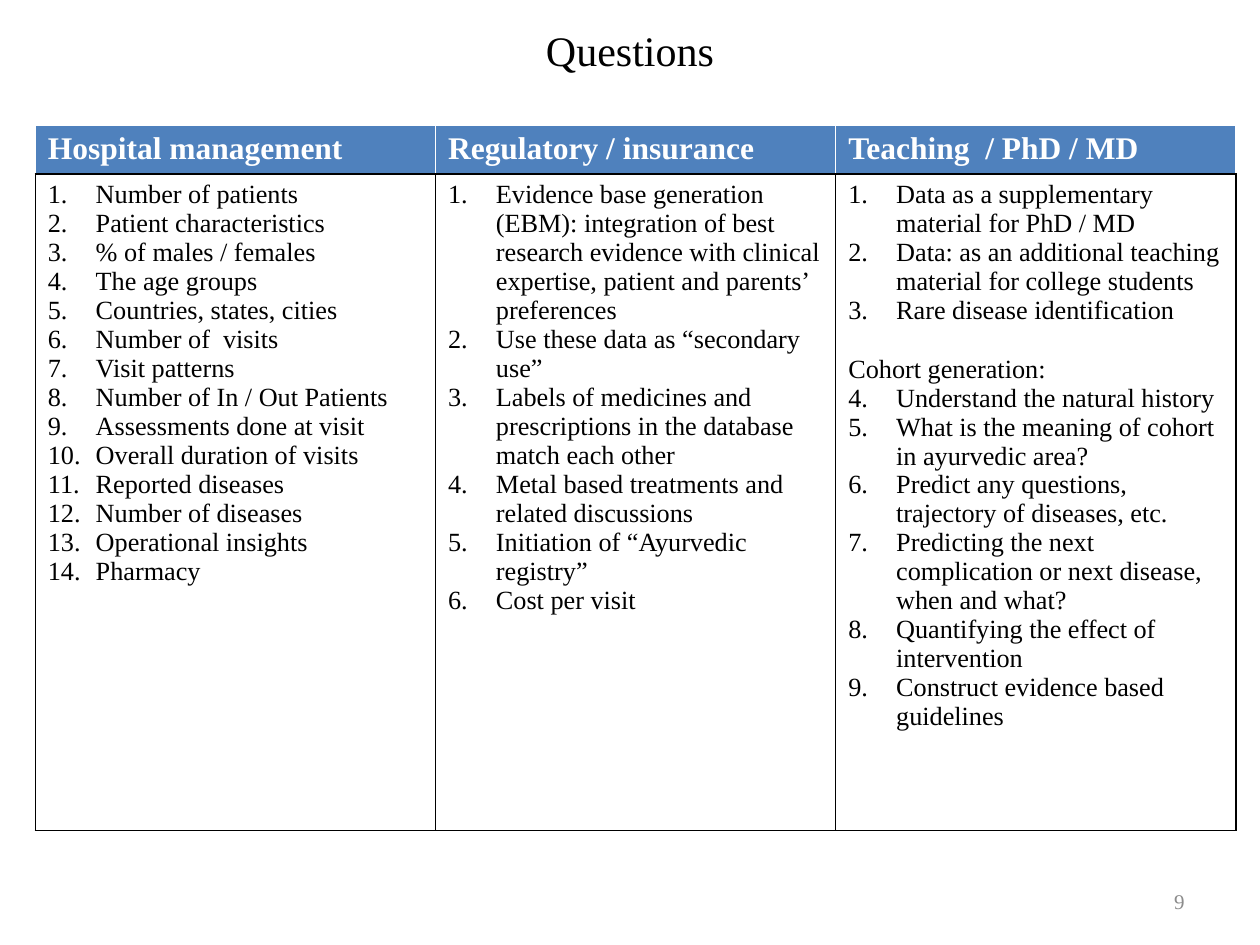
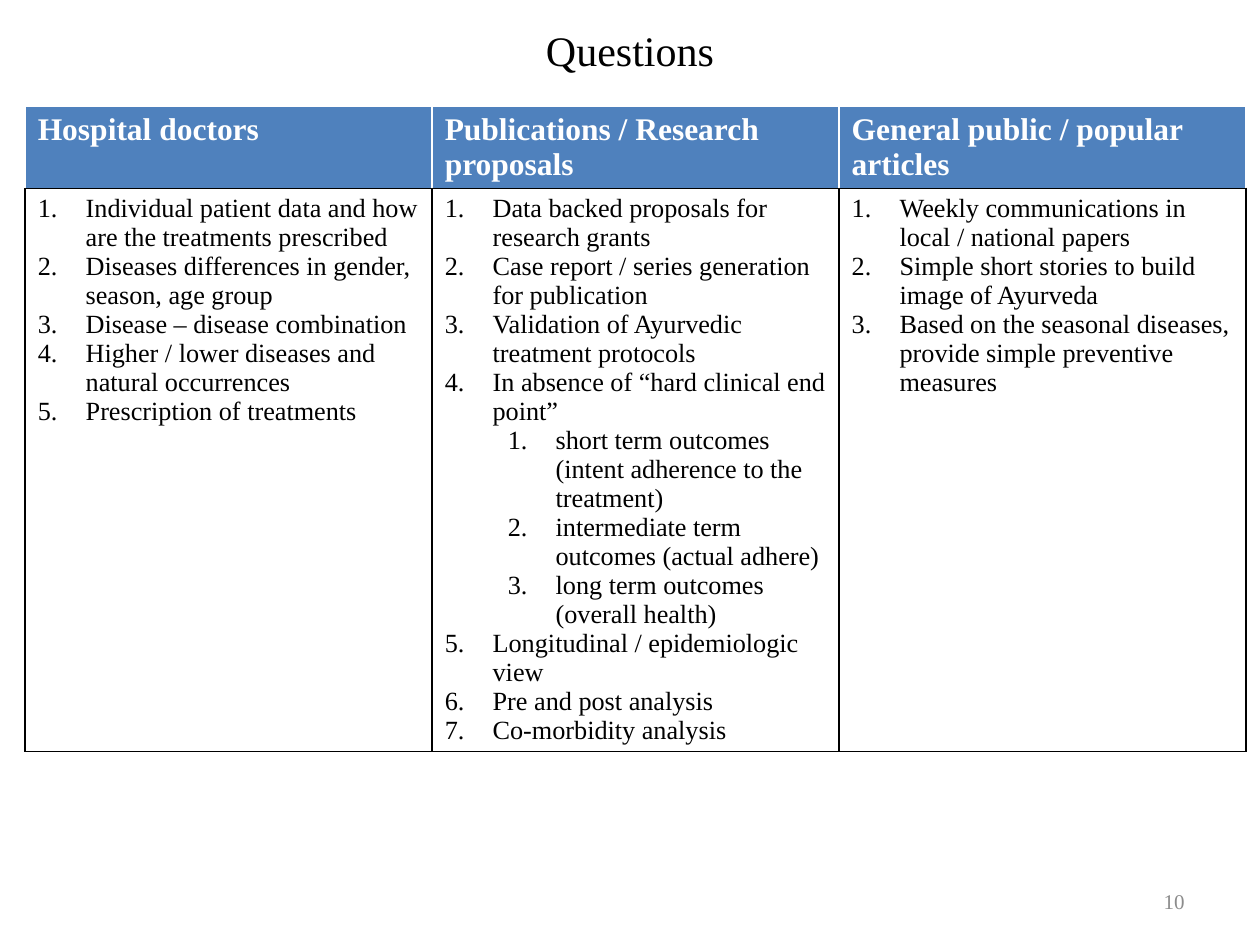
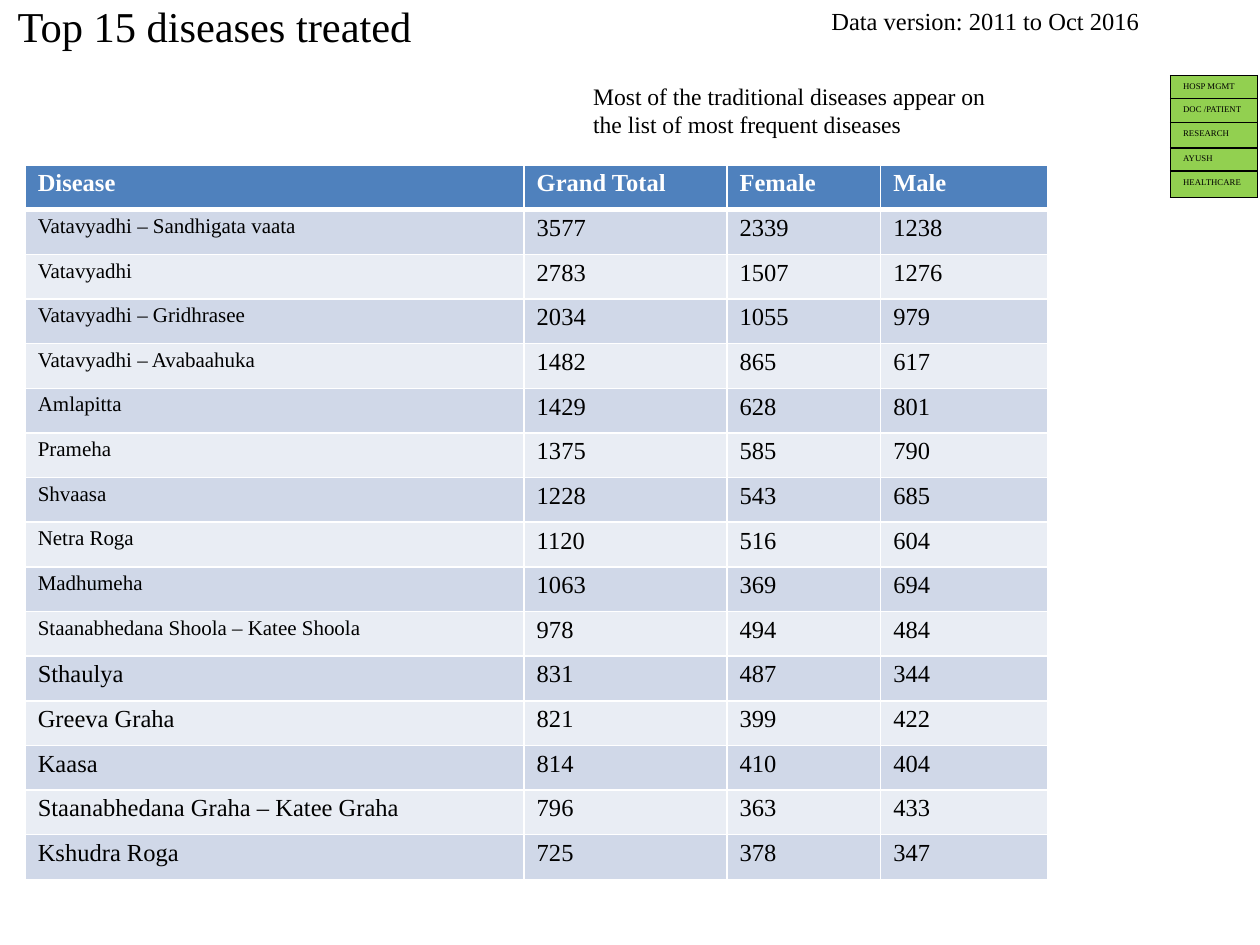
from lxml import etree
from pptx import Presentation
from pptx.dml.color import RGBColor
from pptx.enum.text import MSO_ANCHOR, MSO_AUTO_SIZE, PP_ALIGN
from pptx.oxml.ns import qn
from pptx.util import Inches, Pt

LEFT, CENTER, RIGHT = PP_ALIGN.LEFT, PP_ALIGN.CENTER, PP_ALIGN.RIGHT
MIDDLE = MSO_ANCHOR.MIDDLE
NO_FIT = MSO_AUTO_SIZE.NONE
TITLE_ONLY = 5

FONT = "Times New Roman"
BLACK, WHITE, GREY = "000000", "FFFFFF", "8C8C8C"
BLUE, GREEN = "4F81BD", "92D050"
BANDS = ("D0D8E8", "E9EDF4")
QUESTIONS_TITLE = (0.5, 0.05, 9, 0.69)

MANAGEMENT_QUESTIONS = {
    "Hospital management": [("", [
        "Number of patients",
        "Patient characteristics",
        "% of males / females",
        "The age groups",
        "Countries, states, cities",
        "Number of  visits",
        "Visit patterns",
        "Number of In / Out Patients",
        "Assessments done at visit",
        "Overall duration of visits",
        "Reported diseases",
        "Number of diseases",
        "Operational insights",
        "Pharmacy",
    ])],
    "Regulatory / insurance": [("", [
        "Evidence base generation (EBM): integration of best research evidence "
        "with clinical expertise, patient and parents’ preferences",
        "Use these data as “secondary use”",
        "Labels of medicines and prescriptions in the database match each other",
        "Metal based treatments and related discussions",
        "Initiation of “Ayurvedic registry”",
        "Cost per visit",
    ])],
    "Teaching  / PhD / MD": [
        ("", [
            "Data as a supplementary material for PhD / MD",
            "Data: as an additional teaching material for college students",
            "Rare disease identification",
        ]),
        ("Cohort generation:", [
            "Understand the natural history",
            "What is the meaning of cohort in ayurvedic area?",
            "Predict any questions, trajectory of diseases, etc.",
            "Predicting the next complication or next disease, when and what?",
            "Quantifying the effect of intervention",
            "Construct evidence based guidelines",
        ]),
    ],
}

DOCTOR_QUESTIONS = {
    "Hospital doctors": [("", [
        "Individual patient data and how are the treatments prescribed",
        "Diseases differences in gender, season, age group",
        "Disease – disease combination",
        "Higher / lower diseases and natural occurrences",
        "Prescription of treatments",
    ])],
    "Publications / Research proposals": [("", [
        "Data backed proposals for research grants",
        "Case report / series generation for publication",
        "Validation of Ayurvedic treatment protocols",
        "In absence of “hard clinical end point”",
        [
            "short term outcomes (intent adherence to the treatment)",
            "intermediate term outcomes (actual adhere)",
            "long term outcomes (overall health)",
        ],
        "Longitudinal / epidemiologic view",
        "Pre and post analysis",
        "Co-morbidity analysis",
    ])],
    "General public / popular articles": [("", [
        "Weekly communications in local / national papers",
        "Simple short stories to build image of Ayurveda",
        "Based on the seasonal diseases, provide simple preventive measures",
    ])],
}

DISEASE_HEADER = ("Disease", "Grand Total", "Female", "Male")
DISEASES = [
    ("Vatavyadhi – Sandhigata vaata", 3577, 2339, 1238),
    ("Vatavyadhi", 2783, 1507, 1276),
    ("Vatavyadhi – Gridhrasee", 2034, 1055, 979),
    ("Vatavyadhi – Avabaahuka", 1482, 865, 617),
    ("Amlapitta", 1429, 628, 801),
    ("Prameha", 1375, 585, 790),
    ("Shvaasa", 1228, 543, 685),
    ("Netra Roga", 1120, 516, 604),
    ("Madhumeha", 1063, 369, 694),
    ("Staanabhedana Shoola – Katee Shoola", 978, 494, 484),
    ("Sthaulya", 831, 487, 344),
    ("Greeva Graha", 821, 399, 422),
    ("Kaasa", 814, 410, 404),
    ("Staanabhedana Graha – Katee Graha", 796, 363, 433),
    ("Kshudra Roga", 725, 378, 347),
]
SMALL_NAME_ROWS = 10

AUDIENCES = {
    "HOSP MGMT": 0.18,
    "DOC /PATIENT": 0.19,
    "RESEARCH": 0.2,
    "AYUSH": 0.18,
    "HEALTHCARE": 0.21,
}


def color(value):
    """Turn a hex string into a colour."""
    return RGBColor.from_string(value)


def style(para, size, shade=BLACK, bold=False):
    """Set the font of a whole paragraph."""
    font = para.font
    font.name, font.size, font.bold = FONT, Pt(size), bold
    font.color.rgb = color(shade)


def add_title(page, text, place, size, align):
    """Fill and place the title placeholder."""
    title = page.shapes.title
    title.left, title.top, title.width, title.height = map(Inches, place)
    frame = title.text_frame
    frame.text = text
    frame.auto_size = NO_FIT
    frame.vertical_anchor = MIDDLE
    frame.paragraphs[0].alignment = align
    style(frame.paragraphs[0], size)


def add_text(page, text, place, size, shade=BLACK, align=LEFT):
    """Add a wrapping text box and return its frame."""
    frame = page.shapes.add_textbox(*map(Inches, place)).text_frame
    frame.word_wrap = True
    frame.text = text
    frame.paragraphs[0].alignment = align
    style(frame.paragraphs[0], size, shade)
    return frame


def add_page_number(page, number):
    """Add the grey page number at the bottom right."""
    frame = add_text(page, str(number), (7.17, 6.95, 2.33, 0.4), 12, GREY, RIGHT)
    frame.vertical_anchor = MIDDLE


def add_grid(page, place, rows, widths, heights=()):
    """Add a table with the given column widths and row heights."""
    table = page.shapes.add_table(rows, len(widths), *map(Inches, place)).table
    for column, width in zip(table.columns, widths):
        column.width = Inches(width)
    for row, height in zip(table.rows, heights):
        row.height = Inches(height)
    return table


def format_cell(cell, fill, line, bottom=None):
    """Set the borders and the fill; bottom is a colour and a width."""
    properties = cell._tc.get_or_add_tcPr()
    for side in "LRTB":
        shade, width = bottom if bottom and side == "B" else (line, 1)
        edge = etree.SubElement(properties, qn(f"a:ln{side}"), w=str(Pt(width)))
        solid = etree.SubElement(edge, qn("a:solidFill"))
        etree.SubElement(solid, qn("a:srgbClr"), val=shade)
    cell.fill.solid()
    cell.fill.fore_color.rgb = color(fill)


def write_cell(cell, text, size, shade=BLACK, bold=False):
    """Write one line of text in a cell."""
    cell.text = str(text)
    style(cell.text_frame.paragraphs[0], size, shade, bold)


def next_paragraph(frame):
    """Return the empty first paragraph, or a new one."""
    first = frame.paragraphs[0]
    return frame.add_paragraph() if first.text else first


def add_numbered(frame, items, start=1, level=0):
    """Add numbered paragraphs, with inner lists one level deeper."""
    for item in items:
        if isinstance(item, list):
            add_numbered(frame, item, level=level + 1)
            continue
        para = next_paragraph(frame)
        para.text = item
        para.level = level
        properties = para._p.get_or_add_pPr()
        properties.set("marL", str(Inches(0.38 + 0.5 * level)))
        properties.set("indent", str(Inches(-0.38)))
        number = etree.SubElement(properties, qn("a:buAutoNum"), type="arabicPeriod")
        if start > 1:
            number.set("startAt", str(start))
        style(para, 15)


def write_blocks(frame, blocks):
    """Write headed lists whose numbers run on from block to block."""
    start = 1
    for heading, items in blocks:
        if heading:
            para = next_paragraph(frame)
            para.text = heading
            para.space_before = Pt(17)
            style(para, 15)
        add_numbered(frame, items, start)
        start += len(items)


def add_questions_page(deck, number, questions, place, heights):
    """Add a page with one column of questions per audience."""
    page = deck.slides.add_slide(deck.slide_layouts[TITLE_ONLY])
    add_title(page, "Questions", QUESTIONS_TITLE, 24, CENTER)
    widths = [place[2] / len(questions)] * len(questions)
    table = add_grid(page, place, 2, widths, heights)
    for column, (audience, blocks) in enumerate(questions.items()):
        header, body = table.cell(0, column), table.cell(1, column)
        format_cell(header, BLUE, WHITE, (BLACK, 1))
        write_cell(header, audience, 18, WHITE, True)
        format_cell(body, WHITE, BLACK)
        write_blocks(body.text_frame, blocks)
    add_page_number(page, number)


def add_disease_table(page):
    """Add the banded table of disease counts."""
    rows = [DISEASE_HEADER] + DISEASES
    table = add_grid(page, (0.2, 1.31, 8.12, 5.67), len(rows), (3.96, 1.61, 1.22, 1.33))
    for row, values in enumerate(rows):
        for column, value in enumerate(values):
            cell = table.cell(row, column)
            cell.margin_top = cell.margin_bottom = Inches(0.04)
            if row == 0:
                format_cell(cell, BLUE, WHITE, (WHITE, 3))
                write_cell(cell, value, 14, WHITE, True)
            else:
                small = column == 0 and row <= SMALL_NAME_ROWS
                format_cell(cell, BANDS[(row - 1) % 2], WHITE)
                write_cell(cell, value, 12 if small else 14)


def add_audience_table(page):
    """Add the small green list of audiences."""
    heights = AUDIENCES.values()
    place = (9.29, 0.6, 0.69, sum(heights))
    table = add_grid(page, place, len(AUDIENCES), [0.69], heights)
    for row, audience in enumerate(AUDIENCES):
        format_cell(table.cell(row, 0), GREEN, BLACK)
        write_cell(table.cell(row, 0), audience, 5)


def add_diseases_page(deck):
    """Add the page on the most frequent diseases."""
    page = deck.slides.add_slide(deck.slide_layouts[TITLE_ONLY])
    add_title(page, "Top 15 diseases treated", (0.04, -0.03, 5.88, 0.47), 24.3, LEFT)
    add_disease_table(page)
    add_text(page, "Most of the traditional diseases appear on the list of most "
             "frequent diseases", (4.61, 0.6, 3.58, 0.56), 13.5)
    add_text(page, "Data version: 2011 to Oct 2016", (6.5, 0, 2.76, 0.34), 14)
    add_audience_table(page)


def main():
    """Build the deck and save it."""
    deck = Presentation()
    deck.slide_width, deck.slide_height = Inches(10), Inches(7.5)
    add_questions_page(deck, 9, MANAGEMENT_QUESTIONS, (0.28, 0.99, 9.53, 5.6), (0.39, 5.21))
    add_questions_page(deck, 10, DOCTOR_QUESTIONS, (0.2, 0.84, 9.69, 5.11), (0.65, 4.46))
    add_diseases_page(deck)
    deck.save("out.pptx")


if __name__ == "__main__":
    main()
